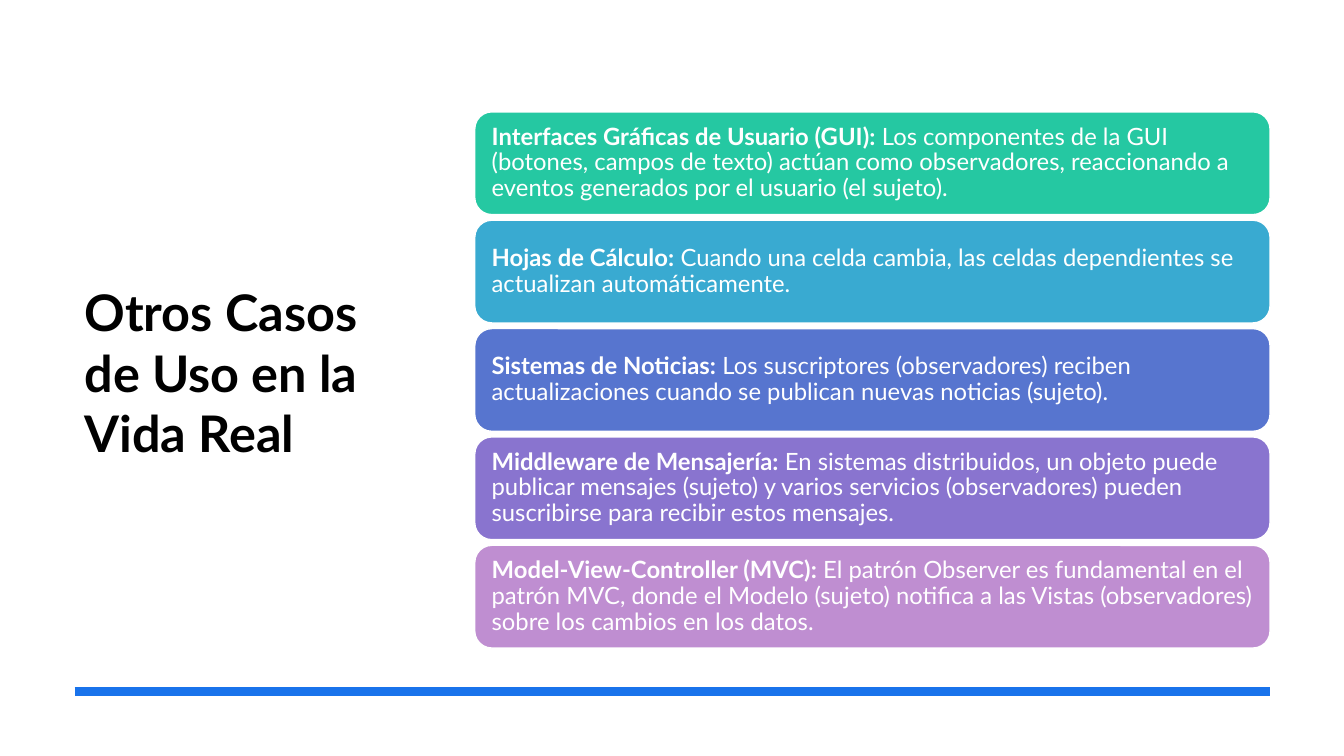
import pptx
import pptx.dml.color
import pptx.enum.shapes
import pptx.enum.text
import pptx.oxml.ns
import pptx.util
from lxml import etree

Pt = pptx.util.Pt
ANCHOR = pptx.enum.text.MSO_ANCHOR

CASES = [
    ("25C8A2", "Interfaces Gráficas de Usuario (GUI):",
     " Los componentes de la GUI (botones, campos de texto) actúan como observadores, "
     "reaccionando a eventos generados por el usuario (el sujeto)."),
    ("39AAD1", "Hojas de Cálculo:",
     " Cuando una celda cambia, las celdas dependientes se actualizan automáticamente."),
    ("5775CF", "Sistemas de Noticias:",
     " Los suscriptores (observadores) reciben actualizaciones cuando se publican "
     "nuevas noticias (sujeto)."),
    ("8974CF", "Middleware de Mensajería:",
     " En sistemas distribuidos, un objeto puede publicar mensajes (sujeto) y varios "
     "servicios (observadores) pueden suscribirse para recibir estos mensajes."),
    ("BF8ED1", "Model-View-Controller (MVC):",
     " El patrón Observer es fundamental en el patrón MVC, donde el Modelo (sujeto) "
     "notifica a las Vistas (observadores) sobre los cambios en los datos."),
]
CARD_LEFT, CARD_TOP, CARD_WIDTH, CARD_HEIGHT = 339.1, 79.9, 568.1, 73.4
CARD_PITCH = 77.4


def rgb(hex_color):
    return pptx.dml.color.RGBColor.from_string(hex_color)


def add_run(p, text, size, color, bold=False, font="Lato"):
    r = p.add_run()
    r.text = text
    r.font.name = font
    r.font.size = Pt(size)
    r.font.bold = bold
    r.font.color.rgb = rgb(color)


class SlideBuilder:
    text_color = "000000"
    card_text_color = "FFFFFF"
    rule_color = "1973EB"
    title_size = 36
    card_size = 17

    def __init__(self, slide):
        self.s = slide

    def title(self, text, x, y, w, h):
        tf = self.s.shapes.add_textbox(Pt(x), Pt(y), Pt(w), Pt(h)).text_frame
        tf.word_wrap = True
        tf.vertical_anchor = ANCHOR.TOP
        add_run(tf.paragraphs[0], text, self.title_size, self.text_color, bold=True)

    def rule(self, x1, x2, y, width):
        """Draw a horizontal line from x1 to x2."""
        line = self.s.shapes.add_connector(
            pptx.enum.shapes.MSO_CONNECTOR.STRAIGHT, Pt(x1), Pt(y), Pt(x2), Pt(y))
        line.line.color.rgb = rgb(self.rule_color)
        line.line.width = Pt(width)
        etree.SubElement(line._element.spPr, pptx.oxml.ns.qn("a:effectLst"))

    def card(self, x, y, w, h, color, heading, body):
        sp = self.s.shapes.add_shape(
            pptx.enum.shapes.MSO_SHAPE.ROUNDED_RECTANGLE, Pt(x), Pt(y), Pt(w), Pt(h))
        sp.shadow.inherit = False
        sp.fill.solid()
        sp.fill.fore_color.rgb = rgb(color)
        sp.line.color.rgb = rgb("FFFFFF")
        sp.line.width = Pt(1)
        tf = sp.text_frame
        tf.word_wrap = True
        tf.vertical_anchor = ANCHOR.MIDDLE
        tf.margin_left = tf.margin_right = tf.margin_top = tf.margin_bottom = Pt(8.5)
        p = tf.paragraphs[0]
        p.alignment = pptx.enum.text.PP_ALIGN.LEFT
        p.line_spacing = 0.9
        add_run(p, heading, self.card_size, self.card_text_color, bold=True)
        add_run(p, body, self.card_size, self.card_text_color)


def main():
    prs = pptx.Presentation()
    prs.slide_width, prs.slide_height = Pt(960), Pt(540)
    builder = SlideBuilder(prs.slides.add_slide(prs.slide_layouts[6]))
    builder.title("Otros Casos de Uso en la Vida Real", 53.3, 197.3, 234.7, 146.2)
    builder.rule(53.3, 907.2, 493.9, 6)
    for i, (color, heading, body) in enumerate(CASES):
        builder.card(CARD_LEFT, CARD_TOP + i * CARD_PITCH, CARD_WIDTH, CARD_HEIGHT,
                     color, heading, body)
    prs.save("out.pptx")


if __name__ == "__main__":
    main()
